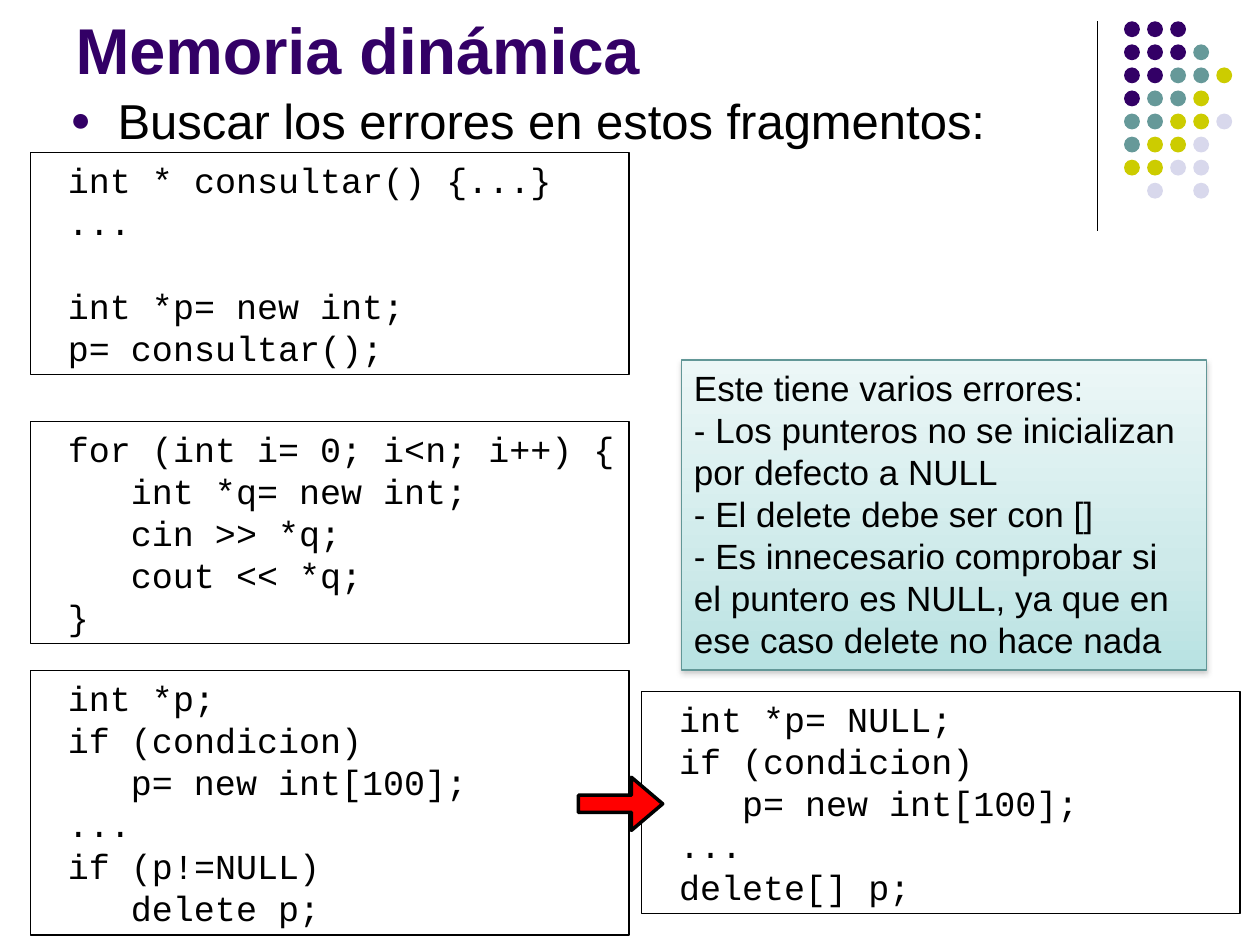
from dataclasses import dataclass

from lxml import etree
from pptx import Presentation
from pptx.dml.color import RGBColor
from pptx.enum.shapes import MSO_CONNECTOR, MSO_SHAPE
from pptx.enum.text import MSO_ANCHOR, MSO_AUTO_SIZE, PP_ALIGN
from pptx.oxml import parse_xml
from pptx.oxml.ns import nsdecls, qn
from pptx.util import Cm, Pt

RECTANGLE, ELLIPSE, ARROW = MSO_SHAPE.RECTANGLE, MSO_SHAPE.OVAL, MSO_SHAPE.RIGHT_ARROW
STRAIGHT = MSO_CONNECTOR.STRAIGHT
LEFT, TOP, BOTTOM = PP_ALIGN.LEFT, MSO_ANCHOR.TOP, MSO_ANCHOR.BOTTOM
NO_FIT = MSO_AUTO_SIZE.NONE
TITLE_ONLY = 5


@dataclass(frozen=True)
class Theme:
    purple: str = "330066"
    teal: str = "669999"
    yellow: str = "CCCC00"
    lilac: str = "D8D8EC"
    black: str = "000000"
    white: str = "FFFFFF"
    red: str = "FF0000"
    note_line: str = "629797"
    note_stops: tuple = ((0, "ECF7F7"), (65, "CEEAEA"), (100, "B8E2E2"))
    note_shadow: str = "808080"
    sans: str = "Arial"
    mono: str = "Courier New"
    title_size: float = 37
    bullet_size: float = 28
    text_size: float = 20
    line_height: float = 24
    code_margin: float = 0.51
    code_indent: float = 1.27


class SlideBuilder:
    def __init__(self, theme, page):
        self.theme = theme
        self.page = page

    def format_para(self, para, font, size, color, bold=False):
        para.alignment = LEFT
        for span in para.runs:
            span.font.name = font
            span.font.size = Pt(size)
            span.font.bold = bold
            span.font.color.rgb = RGBColor.from_string(color)

    def shape(self, kind, place, fill=None, line=None, width=0.75):
        box = self.page.shapes.add_shape(kind, *map(Cm, place))
        box.shadow.inherit = False
        if fill:
            box.fill.solid()
            box.fill.fore_color.rgb = RGBColor.from_string(fill)
        else:
            box.fill.background()
        if line:
            box.line.color.rgb = RGBColor.from_string(line)
            box.line.width = Pt(width)
        else:
            box.line.fill.background()
        return box

    def title(self, text, place):
        box = self.page.shapes.title
        box.left, box.top, box.width, box.height = map(Cm, place)
        frame = box.text_frame
        frame.text = text
        frame.auto_size = NO_FIT
        frame.vertical_anchor = BOTTOM
        theme = self.theme
        self.format_para(frame.paragraphs[0], theme.sans, theme.title_size, theme.purple, True)

    def bullet(self, text, place):
        frame = self.page.shapes.add_textbox(*map(Cm, place)).text_frame
        frame.word_wrap = True
        frame.text = text
        para = frame.paragraphs[0]
        theme = self.theme
        self.format_para(para, theme.sans, theme.bullet_size, theme.black)
        para.space_before = Pt(theme.bullet_size * 0.2)
        props = para._p.get_or_add_pPr()
        props.set("marL", str(Cm(0.95)))
        props.set("indent", str(-Cm(0.95)))
        color = etree.SubElement(props, qn("a:buClr"))
        etree.SubElement(color, qn("a:srgbClr"), val=theme.purple)
        etree.SubElement(props, qn("a:buSzPct"), val="70000")
        etree.SubElement(props, qn("a:buFont"), typeface=theme.sans)
        etree.SubElement(props, qn("a:buChar"), char="●")

    def write_lines(self, box, lines, font):
        """A leading tab indents a line; an empty entry opens a gap before the next."""
        theme = self.theme
        frame = box.text_frame
        frame.word_wrap = True
        frame.vertical_anchor = TOP
        kept = [line for line in lines if line]
        frame.text = "\n".join(line.strip() for line in kept)
        for para, line in zip(frame.paragraphs, kept):
            self.format_para(para, font, theme.text_size, theme.black)
            para.line_spacing = Pt(theme.line_height)
            position = lines.index(line)
            if position and not lines[position - 1]:
                para.space_before = Pt(theme.line_height)
            if font == theme.mono:
                indent = theme.code_margin + theme.code_indent * line.count("\t")
                para._p.get_or_add_pPr().set("marL", str(Cm(indent)))

    def code(self, lines, left, top, fill=None):
        height = 0.25 + len(lines) * self.theme.line_height * 2.54 / 72
        box = self.shape(RECTANGLE, (left, top, 12.07, height), fill, self.theme.black)
        self.write_lines(box, lines, self.theme.mono)

    def note(self, lines, place):
        theme = self.theme
        box = self.shape(RECTANGLE, place, theme.white, theme.note_line)
        props = box._element.spPr
        stops = "".join(
            f'<a:gs pos="{share * 1000}"><a:srgbClr val="{color}"/></a:gs>'
            for share, color in theme.note_stops)
        props.replace(props.find(qn("a:solidFill")), parse_xml(
            f'<a:gradFill {nsdecls("a")} rotWithShape="1"><a:gsLst>{stops}</a:gsLst>'
            '<a:lin ang="5400000" scaled="0"/></a:gradFill>'))
        props.replace(props.find(qn("a:effectLst")), parse_xml(
            f'<a:effectLst {nsdecls("a")}><a:outerShdw blurRad="{Pt(3.1)}" '
            f'dist="{Pt(1.6)}" dir="5400000" rotWithShape="0">'
            f'<a:srgbClr val="{theme.note_shadow}"><a:alpha val="38000"/></a:srgbClr>'
            '</a:outerShdw></a:effectLst>'))
        self.write_lines(box, lines, theme.sans)

    def arrow(self, place):
        box = self.shape(ARROW, place, self.theme.red, self.theme.black, 2)
        box.adjustments[0], box.adjustments[1] = 0.325, 0.588

    def rule(self, x, top, bottom):
        line = self.page.shapes.add_connector(STRAIGHT, Cm(x), Cm(top), Cm(x), Cm(bottom))
        line.line.color.rgb = RGBColor.from_string(self.theme.black)
        line.line.width = Pt(0.75)
        etree.SubElement(line._element.spPr, qn("a:effectLst"))

    def dots(self, rows, left, top, pitch, size):
        theme = self.theme
        colors = {"P": theme.purple, "T": theme.teal, "Y": theme.yellow, "L": theme.lilac}
        for row, marks in enumerate(rows):
            for column, mark in enumerate(marks):
                if mark in colors:
                    place = (left + column * pitch, top + row * pitch, size, size)
                    self.shape(ELLIPSE, place, colors[mark])


def main():
    deck = Presentation()
    deck.slide_width, deck.slide_height = Cm(25.4), Cm(19.05)
    page = deck.slides.add_slide(deck.slide_layouts[TITLE_ONLY])
    theme = Theme()
    builder = SlideBuilder(theme, page)

    # Corner decoration
    builder.rule(22.12, 0.43, 4.65)
    builder.dots(("PPP", "PPPT", "PPTTY", "PTTY", "TTYYL", "TYYL", "YYLL", ".L.L"),
                 22.66, 0.43, 0.465, 0.32)

    # Heading
    builder.title("Memoria dinámica", (1.27, 0.33, 20.96, 1.57))
    builder.bullet("Buscar los errores en estos fragmentos:", (1.17, 1.7, 24.66 - 1.17, 1.7))

    # Code with errors
    left = 0.61
    builder.code(["int * consultar() {...}", "...", "", "int *p= new int;",
                  "p= consultar();"], left, 3.07)
    builder.code(["for (int i= 0; i<n; i++) {", "\tint *q= new int;", "\tcin >> *q;",
                  "\tcout << *q;", "}"], left, 8.49)
    builder.code(["int *p;", "if (condicion)", "\tp= new int[100];", "...",
                  "if (p!=NULL)", "\tdelete p;"], left, 13.52)

    # Corrected code and explanation
    builder.code(["int *p= NULL;", "if (condicion)", "\tp= new int[100];", "...",
                  "delete[] p;"], 12.93, 13.94, theme.white)
    builder.arrow((11.66, 15.67, 1.7, 1.07))
    builder.note(["Este tiene varios errores:",
                  "- Los punteros no se inicializan por defecto a NULL",
                  "- El delete debe ser con []",
                  "- Es innecesario comprobar si el puntero es NULL, "
                  "ya que en ese caso delete no hace nada"],
                 (13.74, 7.26, 10.59, 6.25))

    deck.save("out.pptx")


if __name__ == "__main__":
    main()
